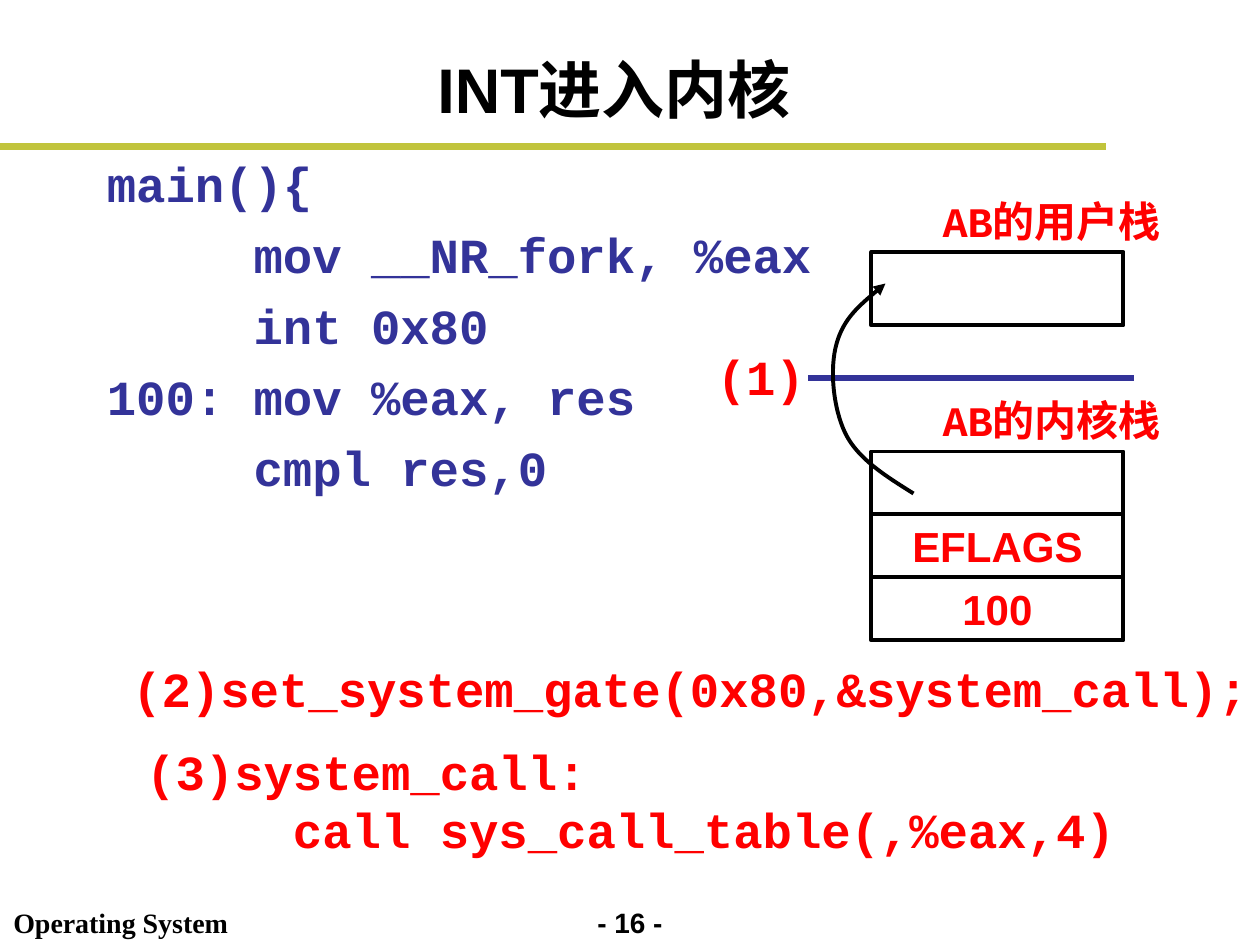
from dataclasses import dataclass

from lxml import etree
from pptx import Presentation
from pptx import util as u
from pptx.dml.color import RGBColor
from pptx.enum import shapes, text
from pptx.oxml.ns import qn

Pt = u.Pt


@dataclass(frozen=True)
class Theme:
    ink: str = "000000"
    paper: str = "FFFFFF"
    blue: str = "333399"
    red: str = "FF0000"
    olive: str = "C1C43C"
    sans: str = "Arial"
    mono: str = "Courier New"
    serif: str = "Times New Roman"
    title: int = 36
    code: int = 28
    label: int = 24
    foot: int = 16
    edge: float = 2.25


T = Theme()
LEFT, MID = text.PP_ALIGN.LEFT, text.PP_ALIGN.CENTER


def rgb(tint):
    return RGBColor.from_string(tint)


def write(frame, lines, face, size, tint, align=LEFT, lead=None, gap=0):
    """Fill a text frame, one paragraph with one run per line."""
    for i, line in enumerate(lines):
        para = frame.paragraphs[0] if i == 0 else frame.add_paragraph()
        para.alignment = align
        if lead:
            para.line_spacing = Pt(lead)
        if i and gap:
            para.space_before = Pt(gap)
        run = para.add_run()
        run.text = line
        font = run.font
        font.name, font.size, font.bold = face, Pt(size), True
        font.color.rgb = rgb(tint)


def add_text(slide, box, lines, face, size, tint, wrap=False, right=7.2,
             anchor=text.MSO_ANCHOR.TOP, **style):
    frame = slide.shapes.add_textbox(*map(Pt, box)).text_frame
    frame.word_wrap = wrap
    frame.margin_right = Pt(right)
    frame.vertical_anchor = anchor
    write(frame, lines, face, size, tint, **style)


def add_cell(slide, box, label=""):
    """A stack cell, with or without a label."""
    cell = slide.shapes.add_shape(shapes.MSO_SHAPE.RECTANGLE, *map(Pt, box))
    cell.shadow.inherit = False
    cell.fill.solid()
    cell.fill.fore_color.rgb = rgb(T.paper)
    cell.line.color.rgb = rgb(T.ink)
    cell.line.width = Pt(T.edge)
    if label:
        frame = cell.text_frame
        frame.word_wrap = False
        frame.vertical_anchor = text.MSO_ANCHOR.MIDDLE
        write(frame, [label], T.sans, T.label, T.red, align=MID)


def add_rule(slide, left, right, y, tint, width):
    rule = slide.shapes.add_connector(
        shapes.MSO_CONNECTOR.STRAIGHT, Pt(left), Pt(y), Pt(right), Pt(y))
    rule.line.color.rgb = rgb(tint)
    rule.line.width = Pt(width)
    etree.SubElement(rule._element.spPr, qn("a:effectLst"))


def add_curve(slide, start, knots):
    """A curved arrow; each three knots make one cubic segment."""
    pen = slide.shapes.build_freeform(*map(Pt, start))
    pen.add_line_segments([(Pt(x), Pt(y)) for x, y in knots], close=False)
    curve = pen.convert_to_shape()
    curve.shadow.inherit = False
    curve.fill.background()
    curve.line.color.rgb = rgb(T.ink)
    curve.line.width = Pt(T.edge)

    # Turn the straight steps into Bezier segments
    path = next(curve._element.iter(qn("a:path")))
    steps = path.findall(qn("a:lnTo"))
    for i in range(0, len(steps), 3):
        bend = etree.SubElement(path, qn("a:cubicBezTo"))
        for step in steps[i:i + 3]:
            bend.append(step[0])
            path.remove(step)
    etree.SubElement(curve.line._get_or_add_ln(), qn("a:tailEnd"),
                     type="triangle")


def main():
    deck = Presentation()
    deck.slide_width, deck.slide_height = Pt(720), Pt(540)
    slide = deck.slides.add_slide(deck.slide_layouts[6])

    # Footer
    add_text(slide, (324, 514, 72, 27), ["- 16 -"], T.sans, T.foot, T.ink,
             wrap=True, align=MID)
    add_text(slide, (0.5, 514, 137, 27), ["Operating System"],
             T.serif, T.foot, T.ink)

    # Title and rule
    add_rule(slide, 0, 632, 84, T.olive, 4)
    add_text(slide, (30, 24, 642, 53), ["INT进入内核"], T.sans, T.title, T.ink,
             wrap=True, anchor=text.MSO_ANCHOR.MIDDLE, align=MID)

    # User code
    code = ["main(){", "     mov __NR_fork, %eax", "     int 0x80",
            "100: mov %eax, res", "     cmpl res,0"]
    lead = 1.2 * T.code
    add_text(slide, (54, 84, 618, 204), code, T.mono, T.code, T.blue,
             wrap=True, lead=lead, gap=7)

    # User stack above the divider, kernel stack below
    left, wide, high = 498, 144, 36
    add_cell(slide, (left, 144, wide, 42))
    add_rule(slide, 462, 648, 216, T.blue, 3)
    for i, label in enumerate(["", "EFLAGS", "100"]):
        add_cell(slide, (left, 258 + i * high, wide, high), label)
    add_curve(slide, (522, 282),
              [(506, 272), (490, 262), (483, 247.5),
               (476, 233), (474, 210.5), (478, 196.5),
               (482, 182), (494, 172), (506, 162)])
    for top, label in [(108, "AB的用户栈"), (222, "AB的内核栈")]:
        add_text(slide, (528.5, top, 145, 36), [label], T.mono, T.label, T.red,
                 align=MID)

    # Numbered steps; no right inset, so the longest fits on one line
    steps = [
        ((402.5, 194.5, 65, 41), ["(1)"]),
        ((76.5, 420, 585, 75),
         ["(3)system_call:", "     call sys_call_table(,%eax,4)"]),
        ((68.5, 373, 651.5, 41), ["(2)set_system_gate(0x80,&system_call);"]),
    ]
    for box, lines in steps:
        add_text(slide, box, lines, T.mono, T.code, T.red, wrap=True, right=0,
                 lead=lead)

    deck.save("out.pptx")


if __name__ == "__main__":
    main()
